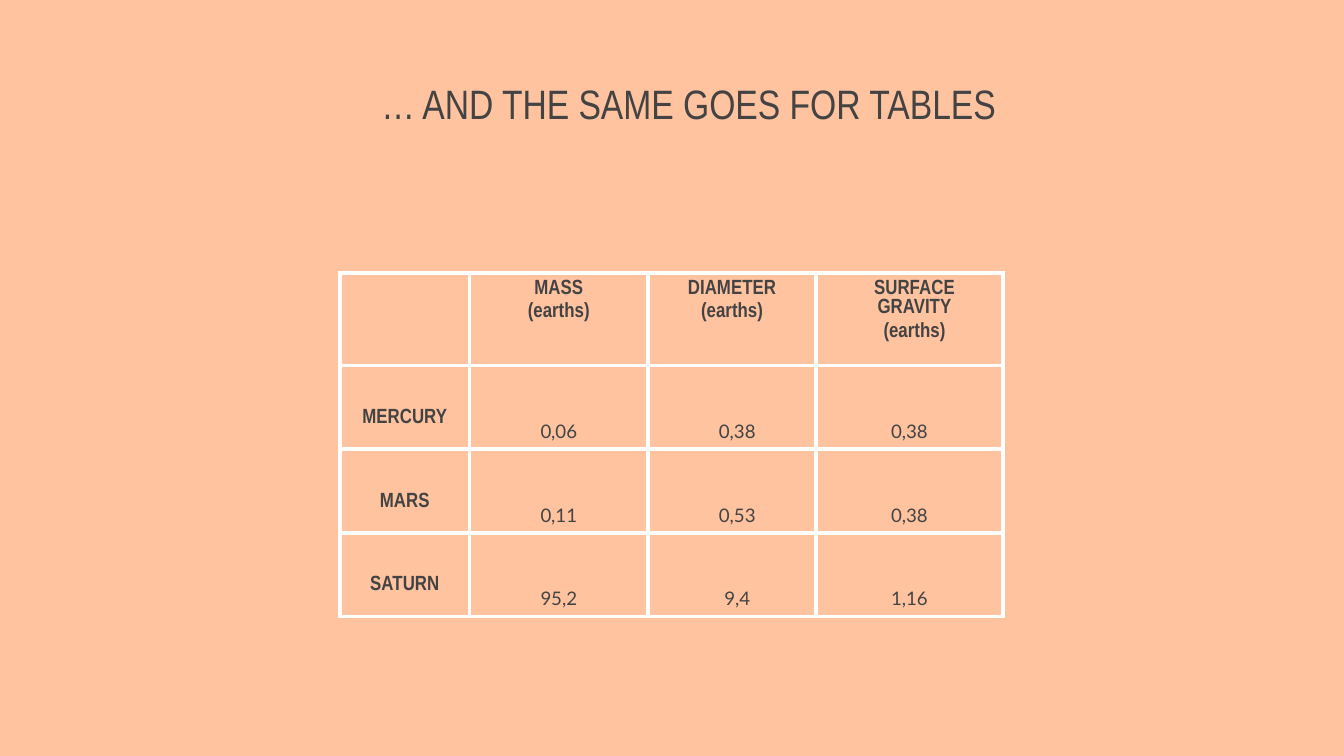
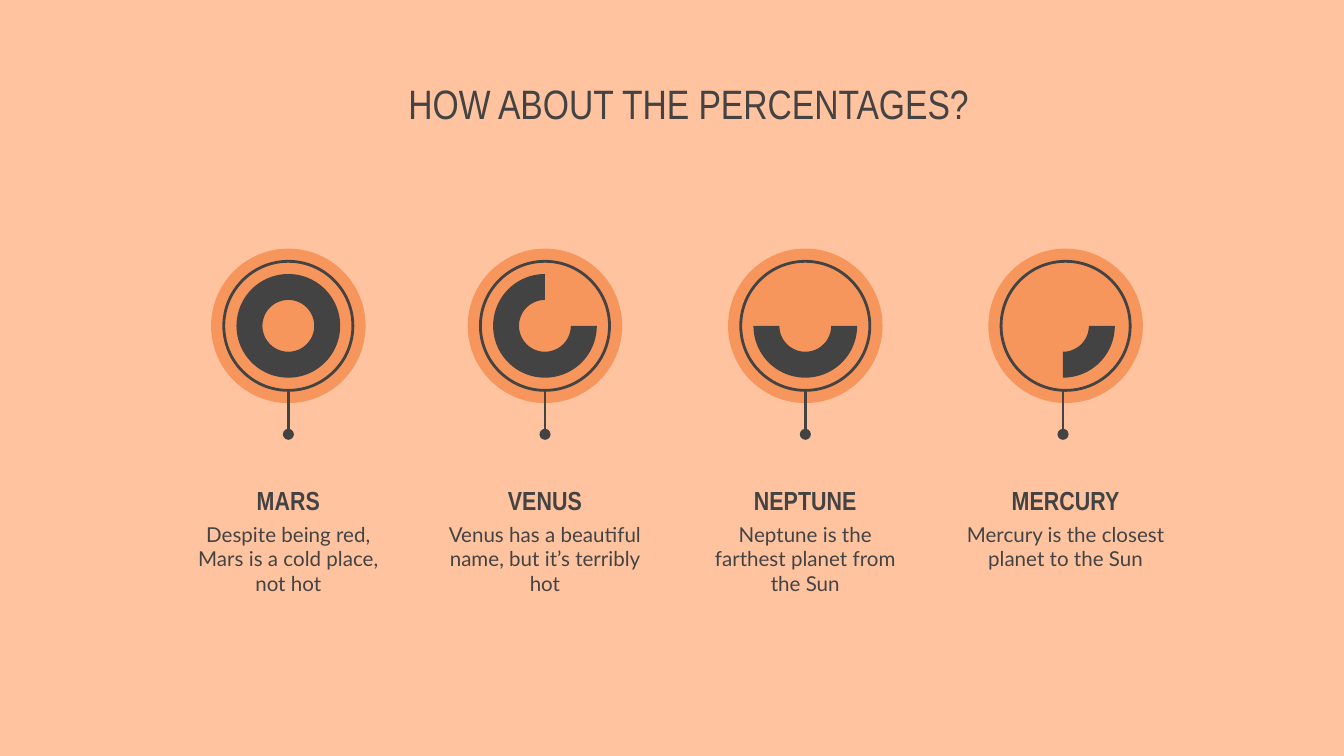
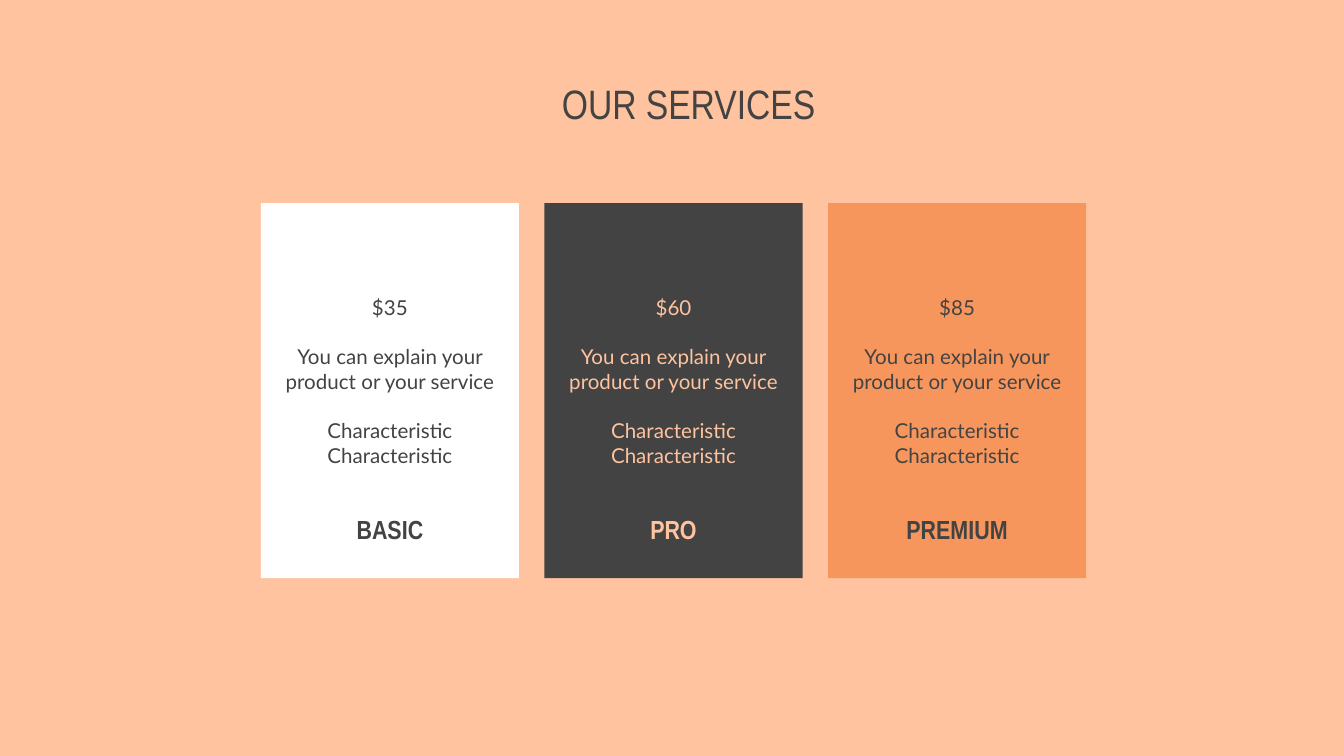
from itertools import product

from lxml import etree
from pptx import Presentation
from pptx.dml.color import RGBColor
from pptx.enum.shapes import MSO_CONNECTOR, MSO_SHAPE
from pptx.enum.text import MSO_ANCHOR, PP_ALIGN
from pptx.oxml.ns import qn
from pptx.util import Cm, Pt

CENTER = PP_ALIGN.CENTER
TOP, MIDDLE, BOTTOM = MSO_ANCHOR.TOP, MSO_ANCHOR.MIDDLE, MSO_ANCHOR.BOTTOM
OVAL, DONUT, ARC, RECT = (MSO_SHAPE.OVAL, MSO_SHAPE.DONUT,
                          MSO_SHAPE.BLOCK_ARC, MSO_SHAPE.RECTANGLE)
STRAIGHT = MSO_CONNECTOR.STRAIGHT

PEACH = RGBColor(0xFF, 0xC3, 0x9F)
ORANGE = RGBColor(0xF7, 0x96, 0x5C)
CHARCOAL = RGBColor(0x43, 0x43, 0x43)
WHITE = RGBColor(0xFF, 0xFF, 0xFF)
HEADING_FONT, BODY_FONT = "Arial Narrow", "Lato"

HEADERS = [("MASS", "(earths)"), ("DIAMETER", "(earths)"),
           ("SURFACE GRAVITY", "(earths)")]
PLANET_ROWS = [("MERCURY", "0,06", "0,38", "0,38"),
               ("MARS", "0,11", "0,53", "0,38"),
               ("SATURN", "95,2", "9,4", "1,16")]
COLUMN_WIDTHS = [2.44, 3.38, 3.17, 3.53]
ROW_HEIGHTS = [1.75, 1.45, 1.45, 1.45]

# name, description, sweep in degrees, column centre, dial centre
PLANETS = [
    ("MARS", "Despite being red, Mars is a cold place, not hot", 360, 5.45, 5.45),
    ("VENUS", "Venus has a beautiful name, but it’s terribly hot", 270, 10.3, 10.3),
    ("NEPTUNE", "Neptune is the farthest planet from the Sun", 180, 15.22, 15.22),
    ("MERCURY", "Mercury is the closest planet to the Sun", 90, 20.14, 20.09),
]

SERVICES = [("BASIC", "$35", WHITE, CHARCOAL),
            ("PRO", "$60", CHARCOAL, PEACH),
            ("PREMIUM", "$85", ORANGE, CHARCOAL)]


def write(frame, lines, font, size, color=CHARCOAL, bold=False, gaps=()):
    """Fill a text frame with centred paragraphs, with optional gaps above them."""
    for index, line in enumerate(lines):
        para = frame.add_paragraph() if index else frame.paragraphs[0]
        para.alignment = CENTER
        if index < len(gaps) and gaps[index]:
            para.space_before = Pt(gaps[index])
        span = para.add_run()
        span.text = line
        span.font.name = font
        span.font.size = Pt(size)
        span.font.bold = bold
        span.font.color.rgb = color


def add_text(page, left, top, width, height, lines, font, size,
             anchor=TOP, inset=0.03, **style):
    """Add a wrapped text box whose only inset is at the top."""
    box = page.shapes.add_textbox(Cm(left), Cm(top), Cm(width), Cm(height))
    frame = box.text_frame
    frame.word_wrap = True
    frame.vertical_anchor = anchor
    frame.margin_left = frame.margin_right = frame.margin_bottom = 0
    frame.margin_top = Cm(inset)
    write(frame, lines, font, size, **style)


def add_figure(page, kind, left, top, width, height, fill=None, outline=None):
    """Add a flat preset shape with an optional fill and outline."""
    shape = page.shapes.add_shape(kind, Cm(left), Cm(top), Cm(width), Cm(height))
    shape.shadow.inherit = False
    if fill is None:
        shape.fill.background()
    else:
        shape.fill.solid()
        shape.fill.fore_color.rgb = fill
    if outline is None:
        shape.line.fill.background()
    else:
        shape.line.color.rgb = outline
        shape.line.width = Pt(1.5)
    return shape


def add_page(deck, title):
    """Add a blank page with the shared title."""
    page = deck.slides.add_slide(deck.slide_layouts[6])
    add_text(page, 1.14, 1.3, 23.75, 1.12, [title], HEADING_FONT, 22,
             anchor=BOTTOM, inset=0)
    return page


def outline_cell(cell):
    """Give a transparent cell white borders on all sides."""
    properties = cell._tc.get_or_add_tcPr()
    for side in ("a:lnL", "a:lnR", "a:lnT", "a:lnB"):
        border = etree.SubElement(properties, qn(side), w=str(Pt(2.21)))
        paint = etree.SubElement(border, qn("a:solidFill"))
        etree.SubElement(paint, qn("a:srgbClr"), val=str(WHITE))
    cell.fill.background()


def add_planet_table(page, left, top):
    """Add the table of planet measures."""
    table = page.shapes.add_table(
        len(ROW_HEIGHTS), len(COLUMN_WIDTHS), Cm(left), Cm(top),
        Cm(sum(COLUMN_WIDTHS)), Cm(sum(ROW_HEIGHTS))).table
    table.first_row = table.horz_banding = False
    for column, width in zip(table.columns, COLUMN_WIDTHS):
        column.width = Cm(width)
    for row, height in zip(table.rows, ROW_HEIGHTS):
        row.height = Cm(height)
    for row, column in product(range(len(ROW_HEIGHTS)), range(len(COLUMN_WIDTHS))):
        cell = table.cell(row, column)
        outline_cell(cell)
        if (row == 0 and column == 3) or (row and column == 2):
            cell.margin_left = Cm(0.45)
        if row == 0:
            if column:
                write(cell.text_frame, HEADERS[column - 1], HEADING_FONT, 11,
                      bold=True, gaps=(0, 2))
            continue
        text = [PLANET_ROWS[row - 1][column]]
        if column == 0:
            cell.margin_top = Cm(0.81)
            write(cell.text_frame, text, HEADING_FONT, 11, bold=True)
        else:
            cell.margin_top = Cm(1.03)
            write(cell.text_frame, text, BODY_FONT, 10)


def add_stem(page, center, top, length):
    """Add a vertical line that ends in a dot."""
    stem = page.shapes.add_connector(STRAIGHT, Cm(center), Cm(top),
                                     Cm(center), Cm(top + length))
    stem.line.color.rgb = CHARCOAL
    stem.line.width = Pt(1.5)
    etree.SubElement(stem.line._get_or_add_ln(), qn("a:tailEnd"), type="oval")
    etree.SubElement(stem._element.spPr, qn("a:effectLst"))


def add_dial(page, center, dial_center, middle, sweep):
    """Add a disc with a ring, a gauge of the given sweep and a stem."""
    def place(kind, x, size, **paint):
        """Add a figure centred on the dial's middle."""
        return add_figure(page, kind, x - size / 2, middle - size / 2,
                          size, size, **paint)

    place(OVAL, center, 2.92, fill=ORANGE)
    place(OVAL, center, 2.44, outline=CHARCOAL)
    gauge = place(DONUT if sweep == 360 else ARC, dial_center, 1.96, fill=CHARCOAL)
    if sweep == 360:
        gauge.adjustments[0] = 0.25
    else:
        gauge.adjustments[0] = 0
        gauge.adjustments[1] = sweep * 0.6
        gauge.adjustments[2] = 0.25
    add_stem(page, dial_center, middle + 1.22, 0.83)


def add_planet(page, top, name, description, sweep, center, dial_center):
    """Add one planet column: dial, name and description."""
    width = 3.91
    left = center - width / 2
    add_dial(page, center, dial_center, top + 1.46, sweep)
    add_text(page, left, top + 4.34, width, 0.71, [name], HEADING_FONT, 14,
             anchor=BOTTOM, bold=True)
    add_text(page, left, top + 5.13, width, 1.27, [description], BODY_FONT, 11)


def add_service(page, left, top, width, height, name, price, fill, color):
    """Add one service card with its price, features and name."""
    add_figure(page, RECT, left, top, width, height, fill=fill)
    lines = [price, "You can explain your product or your service",
             "Characteristic", "Characteristic"]
    add_text(page, left + 0.41, top + 1.62, width - 0.82, 3.45, lines, BODY_FONT, 11,
             anchor=MIDDLE, color=color, gaps=(0, 13.2, 13.2))
    add_text(page, left + 0.81, top + 5.69, width - 1.62, 0.79, [name],
             HEADING_FONT, 14, inset=0.18, color=color, bold=True)


def main():
    """Build and save the deck."""
    deck = Presentation()
    deck.slide_width, deck.slide_height = Cm(25.4), Cm(14.29)
    background = deck.slide_master.background.fill
    background.solid()
    background.fore_color.rgb = PEACH

    page = add_page(deck, "… AND THE SAME GOES FOR TABLES")
    add_planet_table(page, 6.43, 5.16)

    page = add_page(deck, "HOW ABOUT THE PERCENTAGES?")
    for planet in PLANETS:
        add_planet(page, 4.7, *planet)

    page = add_page(deck, "OUR SERVICES")
    for index, service in enumerate(SERVICES):
        add_service(page, 4.93 + index * 5.36, 3.84, 4.88, 7.09, *service)

    deck.save("out.pptx")


if __name__ == "__main__":
    main()
